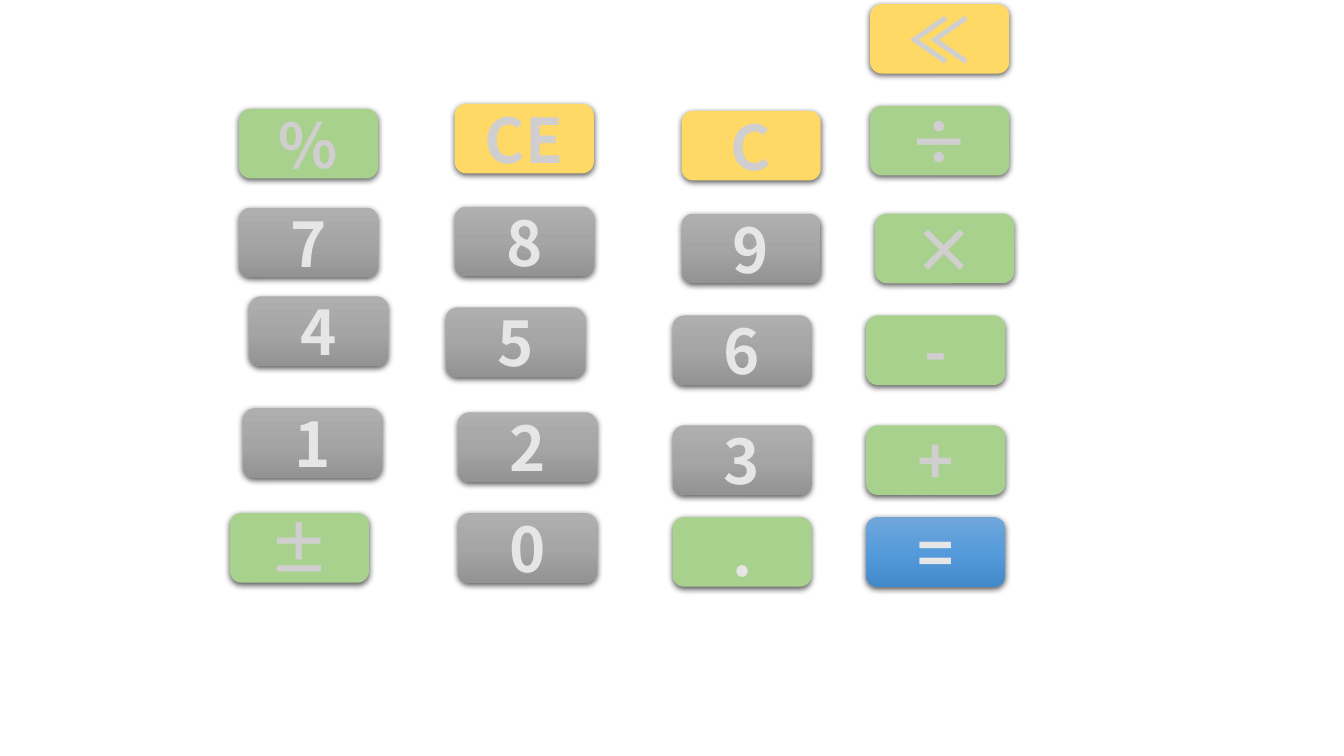
from dataclasses import dataclass

from lxml.etree import SubElement
from pptx import Presentation
from pptx.dml.color import RGBColor
from pptx.enum.shapes import MSO_SHAPE as Shape
from pptx.enum.text import MSO_ANCHOR as Anchor, PP_ALIGN as Align
from pptx.oxml import parse_xml
from pptx.oxml.ns import nsdecls, qn
from pptx.util import Inches, Pt

# Each key: label, style, shift right and shift down from its grid cell (inches)
KEYS = [
    [None, None, None, ("≪", "clear", 0.04, 0)],
    [("%", "sign", 0, 0.03), ("CE", "clear", 0, -0.02),
     ("C", "clear", 0.09, 0.05), ("÷", "sign", 0.04, 0)],
    [("7", "digit", 0, -0.06), ("8", "digit", 0, -0.07),
     ("9", "digit", 0.09, 0), ("×", "sign", 0.09, 0)],
    [("4", "digit", 0.1, -0.19), ("5", "digit", -0.09, -0.08),
     ("6", "digit", 0, 0), ("-", "sign", 0, 0)],
    [("1", "digit", 0.04, -0.17), ("2", "digit", 0.03, -0.13),
     ("3", "digit", 0, 0), ("+", "sign", 0, 0)],
    [("±", "sign", -0.09, -0.04), ("0", "digit", 0.03, -0.04),
     (".", "point", 0, 0), ("=", "equal", 0, 0)],
]
COLS = (2.37, 4.51, 6.67, 8.59)
ROWS = (0.04, 1.05, 2.12, 3.13, 4.22, 5.13)
KEY_W, KEY_H = 1.38, 0.69


@dataclass(frozen=True)
class Theme:
    font: str = "Noto Sans CJK KR"
    size: int = 44
    green: tuple = ("A9D18E",)
    gold: tuple = ("FFD966",)
    grey: tuple = ("AFAFAF", "A5A5A5", "939393")
    blue: tuple = ("71A6DB", "559BDB", "448ACA")
    light: str = "E7E6E6"
    dim: str = "D0CECE"


THEME = Theme()
STYLES = {
    "digit": (THEME.grey, THEME.light),
    "sign": (THEME.green, THEME.dim),
    "point": (THEME.green, THEME.light),
    "clear": (THEME.gold, THEME.dim),
    "equal": (THEME.blue, THEME.light),
}


def paint(key, hues):
    """Fill with one flat colour, or with an even gradient from top to bottom."""
    if len(hues) == 1:
        key.fill.solid()
        key.fill.fore_color.rgb = RGBColor.from_string(hues[0])
        return
    step = 100000 // (len(hues) - 1)
    stops = "".join(f'<a:gs pos="{i * step}"><a:srgbClr val="{hue}"/></a:gs>'
                    for i, hue in enumerate(hues))
    grad = parse_xml(f'<a:gradFill {nsdecls("a")} rotWithShape="1"><a:gsLst>{stops}</a:gsLst>'
                     '<a:lin ang="5400000" scaled="0"/></a:gradFill>')
    key._element.spPr.find(qn("a:prstGeom")).addnext(grad)


def add_shadow(key):
    key.shadow.inherit = False
    effects = key._element.spPr.find(qn("a:effectLst"))
    effects.append(parse_xml(
        f'<a:outerShdw {nsdecls("a")} blurRad="{Pt(4.5)}" dist="{Pt(1.5)}" dir="5400000" '
        'algn="ctr" rotWithShape="0"><a:srgbClr val="000000">'
        '<a:alpha val="63000"/></a:srgbClr></a:outerShdw>'))


def write(key, label, hue):
    frame = key.text_frame
    frame.vertical_anchor = Anchor.MIDDLE
    line = frame.paragraphs[0]
    line.alignment = Align.CENTER
    run = line.add_run()
    run.text = label
    look = {"name": THEME.font, "size": Pt(THEME.size), "bold": True}
    for name, value in look.items():
        setattr(run.font, name, value)
    run.font.color.rgb = RGBColor.from_string(hue)
    props = run._r.get_or_add_rPr()
    props.set("spc", "50")
    SubElement(props, qn("a:ea")).set("typeface", THEME.font)


def add_key(slide, left, top, label, style):
    hues, ink = STYLES[style]
    box = [Inches(n) for n in (left, top, KEY_W, KEY_H)]
    key = slide.shapes.add_shape(Shape.ROUNDED_RECTANGLE, *box)
    paint(key, hues)
    key.line.fill.background()
    add_shadow(key)
    write(key, label, ink)


def main():
    deck = Presentation()
    deck.slide_width, deck.slide_height = Inches(13.33), Inches(7.5)
    slide = deck.slides.add_slide(deck.slide_layouts[6])
    for top, row in zip(ROWS, KEYS):
        for left, cell in zip(COLS, row):
            if cell:
                label, style, right, down = cell
                add_key(slide, left + right, top + down, label, style)
    deck.save("out.pptx")


if __name__ == "__main__":
    main()
